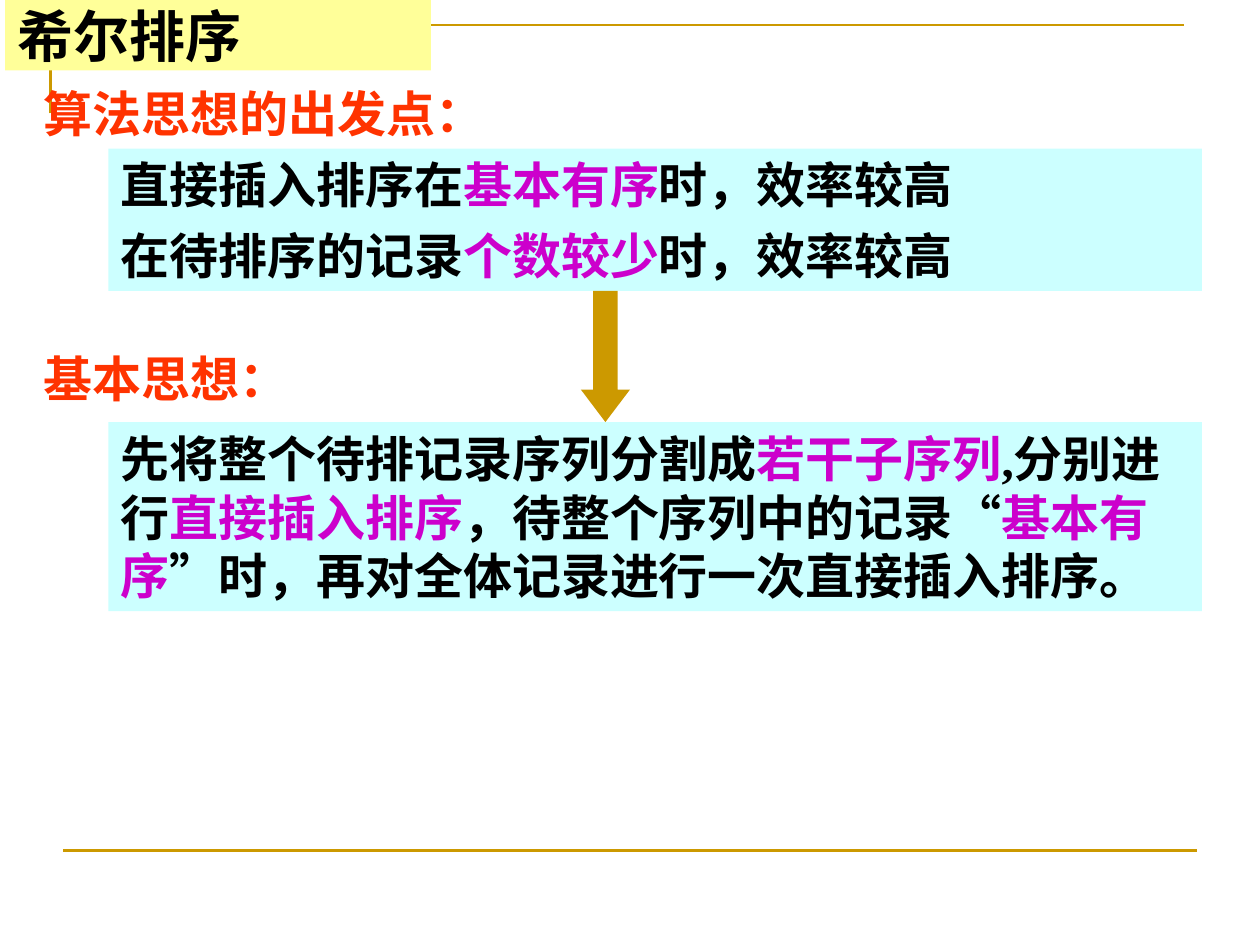
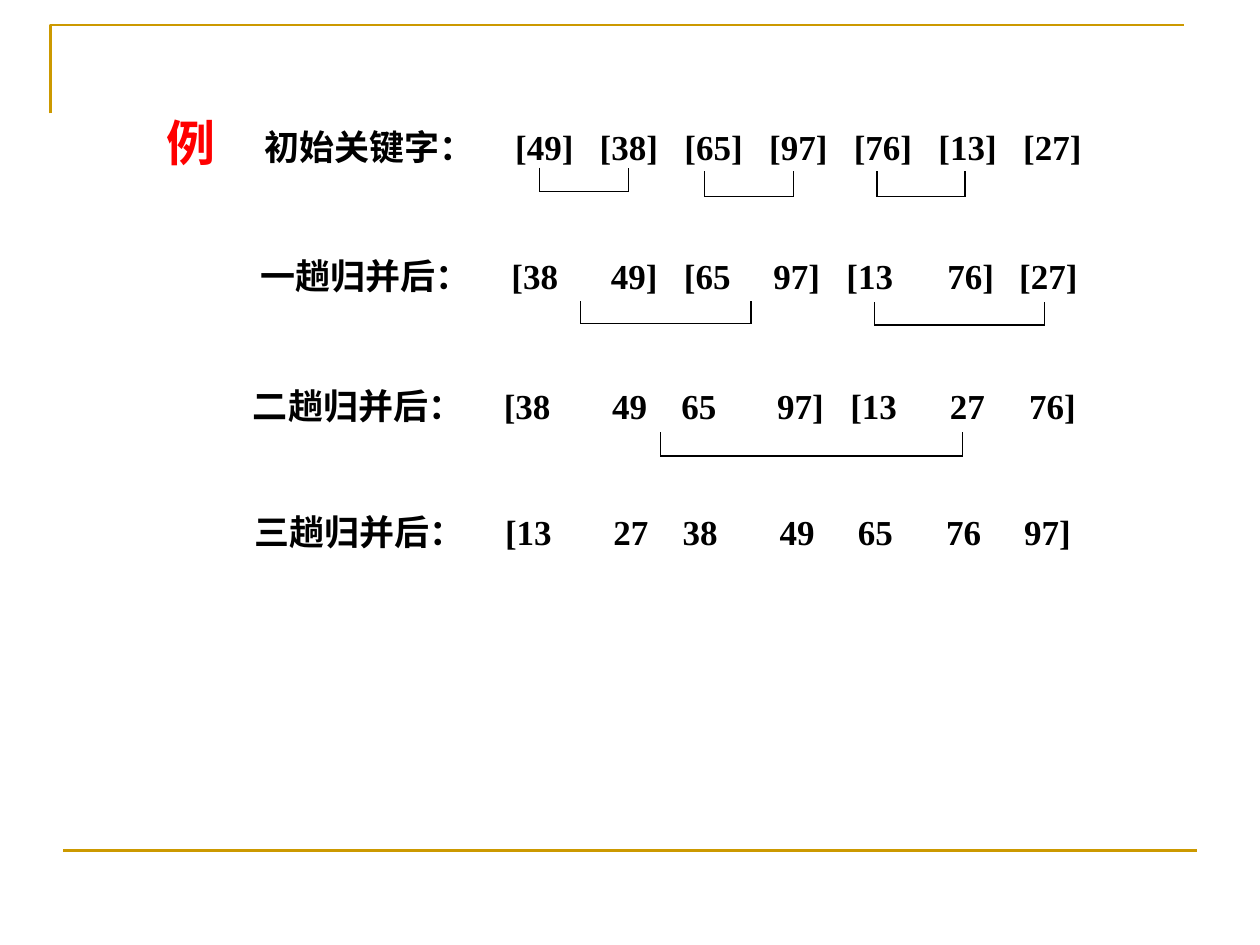
from dataclasses import dataclass
from itertools import pairwise

from lxml.etree import SubElement
from pptx import Presentation
from pptx.dml.color import RGBColor
from pptx.enum.shapes import MSO_CONNECTOR, MSO_SHAPE
from pptx.enum.text import MSO_ANCHOR, PP_ALIGN
from pptx.oxml.ns import qn
from pptx.util import Inches, Pt


@dataclass(frozen=True)
class Theme:
    gold: RGBColor = RGBColor.from_string("CC9900")
    title_band: RGBColor = RGBColor.from_string("FFFF99")
    panel: RGBColor = RGBColor.from_string("CCFFFF")
    ink: RGBColor = RGBColor.from_string("000000")
    heading: RGBColor = RGBColor.from_string("FF3300")
    keyword: RGBColor = RGBColor.from_string("CC00CC")
    example: RGBColor = RGBColor.from_string("FF0000")
    title_size: Pt = Pt(32)
    body_size: Pt = Pt(28)
    row_size: Pt = Pt(20)
    frame_width: Pt = Pt(1.5)
    bracket_width: Pt = Pt(0.75)
    latin_font: str = "Times New Roman"
    chinese_font: str = "Noto Sans CJK SC"


theme = Theme()
presentation = Presentation()
presentation.slide_width = Inches(10)
presentation.slide_height = Inches(7.5)
COLUMN = presentation.slide_width // 100
ROW = presentation.slide_height // 75


def add_text(slide, text, left, top, width, height, *, size=theme.body_size,
             color=theme.ink, font=theme.latin_font, fill=None,
             anchor=MSO_ANCHOR.TOP, space_between=0, tab_columns=()):
    box = (round(left * COLUMN), round(top * ROW), round(width * COLUMN), round(height * ROW))
    if fill is None:
        shape = slide.shapes.add_textbox(*box)
    else:
        shape = slide.shapes.add_shape(MSO_SHAPE.RECTANGLE, *box)
        shape.shadow.inherit = False
        shape.fill.solid()
        shape.fill.fore_color.rgb = fill
        shape.line.fill.background()
    frame = shape.text_frame
    frame.word_wrap = True
    frame.vertical_anchor = anchor
    for index, line in enumerate(text.split("\n")):
        paragraph = frame.add_paragraph() if index else frame.paragraphs[0]
        paragraph.alignment = PP_ALIGN.LEFT
        if tab_columns:
            tab_list = SubElement(paragraph._p.get_or_add_pPr(), qn("a:tabLst"))
            for column in tab_columns:
                position = round((column - left - 1) * COLUMN)
                SubElement(tab_list, qn("a:tab"), pos=str(position), algn="l")
        if index:
            paragraph.space_before = Pt(space_between)
        for part, words in enumerate(line.split("|")):
            run = paragraph.add_run()
            run.text = words
            run.font.size = size
            run.font.bold = True
            run.font.name = font
            run.font.color.rgb = theme.keyword if part % 2 else color
            SubElement(run._r.get_or_add_rPr(), qn("a:ea"), typeface=theme.chinese_font)


def add_line(slide, start, end, *, color, width):
    connector = slide.shapes.add_connector(
        MSO_CONNECTOR.STRAIGHT,
        round(start[0] * COLUMN), round(start[1] * ROW),
        round(end[0] * COLUMN), round(end[1] * ROW))
    connector.line.color.rgb = color
    connector.line.width = width
    SubElement(connector._element.spPr, qn("a:effectLst"))


blank_layout = presentation.slide_layouts[6]
idea_slide, example_slide = [presentation.slides.add_slide(blank_layout) for _ in range(2)]

for slide in (idea_slide, example_slide):
    builder = slide.shapes.build_freeform(4.2, 9.2, scale=COLUMN)
    builder.add_line_segments([(4.2, 2.5), (94.2, 2.5)], close=False)
    corner = builder.convert_to_shape()
    corner.shadow.inherit = False
    corner.fill.background()
    corner.line.color.rgb = theme.gold
    corner.line.width = theme.frame_width
    add_line(slide, (5, 67.5), (95, 67.5), color=theme.gold, width=theme.frame_width)

add_text(idea_slide, "希尔排序", 0.4, 0, 33.8, 5.6, size=theme.title_size,
         font=theme.chinese_font, fill=theme.title_band, anchor=MSO_ANCHOR.MIDDLE)

for heading, heading_top, body, body_top, body_height in (
    ("算法思想的出发点：", 6.1,
     "直接插入排序在|基本有序|时，效率较高\n在待排序的记录|个数较少|时，效率较高", 11.8, 11.3),
    ("基本思想：", 27.2,
     "先将整个待排记录序列分割成|若干子序列|,分别进行|直接插入排序|，待整个序列中的记录“"
     "|基本有序|”时，再对全体记录进行一次直接插入排序。", 33.5, 15),
):
    add_text(idea_slide, heading, 2.5, heading_top, 43.6, 5.7, color=theme.heading)
    add_text(idea_slide, body, 8.6, body_top, 86.8, body_height, fill=theme.panel, space_between=7)

arrow = idea_slide.shapes.add_shape(
    MSO_SHAPE.DOWN_ARROW, round(46.1 * COLUMN), round(23.1 * ROW),
    round(3.9 * COLUMN), round(10.4 * ROW))
arrow.adjustments[0], arrow.adjustments[1] = 0.5, 0.66
arrow.shadow.inherit = False
arrow.fill.solid()
arrow.fill.fore_color.rgb = theme.gold
arrow.line.fill.background()

add_text(example_slide, "例", 12.2, 8.4, 6.5, 5.7, color=theme.example)

for label, keys, left, top, key_columns, brackets in (
    ("初始关键字：", "[49] [38] [65] [97] [76] [13] [27]", 20, 9.5,
     [40.9 + 6.72 * key for key in range(7)],
     ((42.8, 49.9, 13.3, 15.2), (55.9, 63, 13.6, 15.6), (69.6, 76.6, 13.6, 15.6))),
    ("一趟归并后：", "[38 49] [65 97] [13 76] [27]", 19.7, 19.7,
     (40.6, 48.5, 54.3, 61.4, 67.2, 75.2, 80.9),
     ((46.1, 59.6, 23.9, 25.7), (69.4, 82.9, 24, 25.8))),
    ("二趟归并后：", "[38 49 65 97] [13 27 76]", 19.1, 30,
     (40, 48.6, 54.1, 61.7, 67.5, 75.4, 81.7),
     ((52.4, 76.4, 34.3, 36.2),)),
    ("三趟归并后：", "[13 27 38 49 65 76 97]", 19.2, 40,
     (40.1, 48.7, 54.2, 61.9, 68.1, 75.1, 81.3), ()),
):
    add_text(example_slide, "\t".join([label, *keys.split()]), left, top, 69, 4.4,
             size=theme.row_size, tab_columns=key_columns)
    for first, last, upper, lower in brackets:
        corners = ((first, upper), (first, lower), (last, lower), (last, upper))
        for start, end in pairwise(corners):
            add_line(example_slide, start, end, color=theme.ink, width=theme.bracket_width)

presentation.save("out.pptx")
